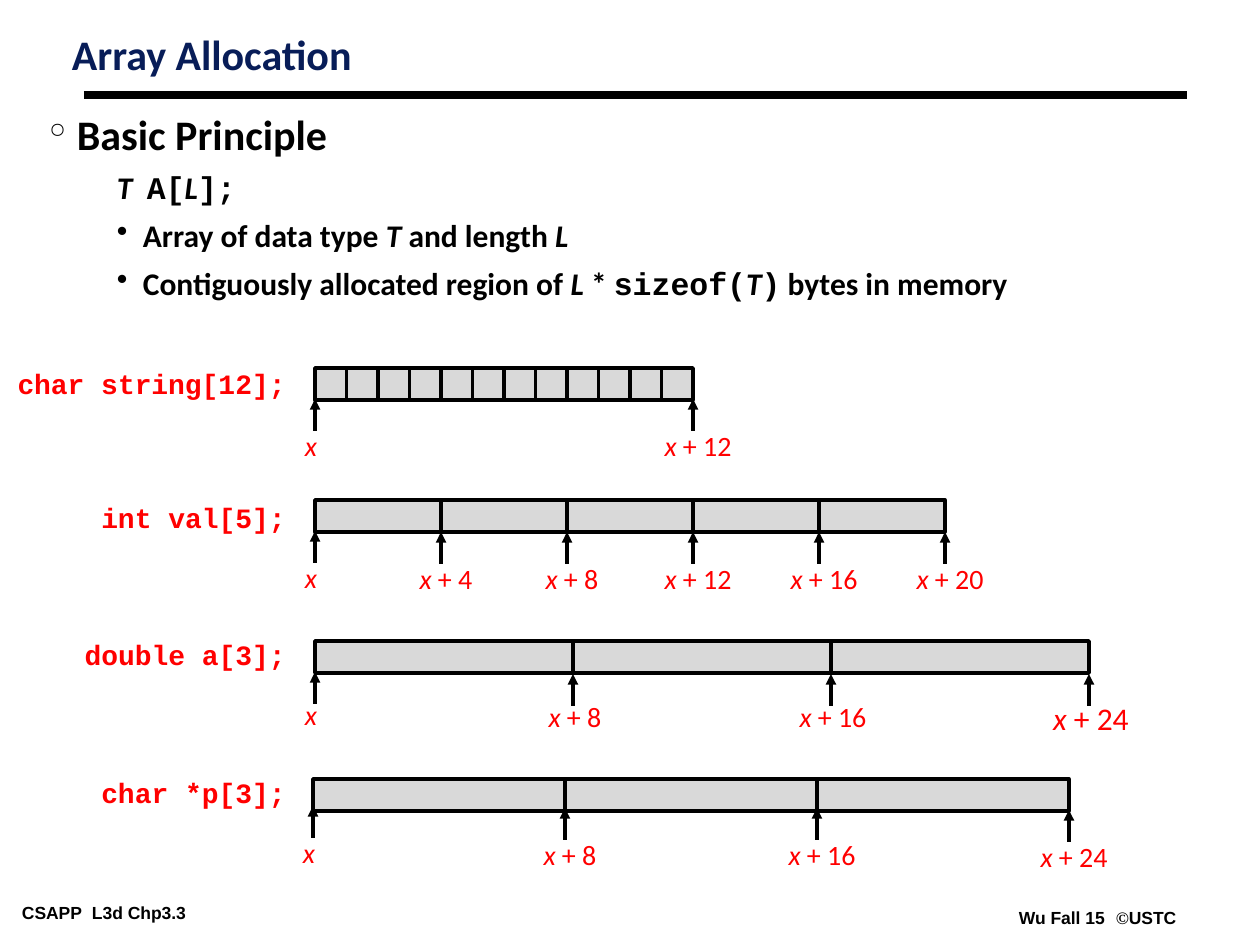
"""Build the array allocation slide with four memory layout diagrams."""
import pptx
import pptx.util
import pptx.dml.color
import pptx.enum.text
import pptx.enum.shapes
import lxml.etree
import pptx.oxml.ns

SCALE = 914400 / 126
HUE = {"ink": "000000", "navy": "081D58", "red": "FF0000", "gray": "D9D9D9"}
RGB = pptx.dml.color.RGBColor.from_string
ALIGN = pptx.enum.text.PP_ALIGN
SHAPE = pptx.enum.shapes.MSO_SHAPE
LINE = pptx.enum.shapes.MSO_CONNECTOR.STRAIGHT
qn = pptx.oxml.ns.qn


def px(*nums):
    return [round(n * SCALE) for n in nums]


def write(par, runs, size, hue, face="Calibri", bold=True):
    par.font.size = pptx.util.Pt(size)
    par.font.bold = bold
    par.font.name = face
    par.font.color.rgb = RGB(HUE[hue])
    for text, font, slant in runs:
        run = par.add_run()
        run.text = text
        if font:
            run.font.name = font
        if slant:
            run.font.italic = True


deck = pptx.Presentation()
deck.slide_width, deck.slide_height = px(1260, 945)
slide = deck.slides.add_slide(deck.slide_layouts[5])
shapes = slide.shapes

title = shapes.title
title.left, title.top, title.width, title.height = px(63, 31, 819, 79)
frame = title.text_frame
frame.auto_size = pptx.enum.text.MSO_AUTO_SIZE.NONE
frame.vertical_anchor = pptx.enum.text.MSO_ANCHOR.TOP
frame.margin_left, frame.margin_top, frame.margin_right, frame.margin_bottom = px(9, 4, 9, 4)
par = frame.paragraphs[0]
par.alignment = ALIGN.LEFT
par.line_spacing = 0.87
write(par, [("Array Allocation", None, False)], 24, "navy")

rule = shapes.add_connector(LINE, *px(84, 95, 1187, 95))
rule.line.color.rgb = RGB(HUE["ink"])
rule.line.width = pptx.util.Pt(4.5)
lxml.etree.SubElement(rule._element.spPr, qn("a:effectLst"))

feet = [
    (13, 898, 256, 70, [("CSAPP\tL3d Chp3.3", None, False)]),
    (1010, 903, 190, 97, [("Wu Fall 15\t", None, False), ("©", "Times New Roman", False),
                          ("USTC", None, False)]),
]
for left, top, width, stop, runs in feet:
    frame = shapes.add_textbox(*px(left, top, width, 28)).text_frame
    frame.word_wrap = True
    frame.margin_left, frame.margin_top, frame.margin_right, frame.margin_bottom = px(9, 4, 9, 4)
    par = frame.paragraphs[0]
    tabs = lxml.etree.SubElement(par._p.get_or_add_pPr(), qn("a:tabLst"))
    lxml.etree.SubElement(tabs, qn("a:tab"), pos=str(px(stop)[0]), algn="l")
    write(par, runs, 10, "ink", "Arial")

CODE = "Courier New"
points = [
    ("°", 28, 28, 0.75, 0, 24, [("Basic Principle", None, False)]),
    (None, 98, 30, 0.85, 9, 18, [("T\t", None, True), ("A[", CODE, False),
                                 ("L", None, True), ("];", CODE, False)]),
    ("•", 94, 26, 0.85, 9, 18, [("Array of data type ", None, False), ("T", None, True),
                                (" and length ", None, False), ("L", None, True)]),
    ("•", 94, 26, 0.85, 9, 18, [("Contiguously allocated region of ", None, False),
                                ("L", None, True), (" * ", None, False),
                                ("sizeof(", CODE, False), ("T", None, True),
                                (")", CODE, False), (" bytes in memory", None, False)]),
]
frame = shapes.add_textbox(*px(40, 116, 1145, 223)).text_frame
frame.word_wrap = True
frame.margin_left, frame.margin_top, frame.margin_right, frame.margin_bottom = px(9, 4, 9, 4)
for spot, (mark, edge, hang, gap, lead, size, runs) in enumerate(points):
    par = frame.add_paragraph() if spot else frame.paragraphs[0]
    prop = par._p.get_or_add_pPr()
    prop.set("marL", str(px(edge)[0]))
    prop.set("indent", str(px(-hang)[0]))
    if mark:
        tint = lxml.etree.SubElement(prop, qn("a:buClr"))
        lxml.etree.SubElement(tint, qn("a:srgbClr"), val=HUE["ink"])
        lxml.etree.SubElement(prop, qn("a:buChar"), char=mark)
    else:
        lxml.etree.SubElement(prop, qn("a:buNone"))
    par.line_spacing = gap
    if lead:
        par.space_before = pptx.util.Pt(lead)
    write(par, runs, size, "ink")

rows = [
    ("char string[12];", 360, 315, 368, 378, 12, 12, [399, 399], 23, 5, 16),
    ("int val[5];", 494, 315, 500, 630, 5, 4, [531] + [532] * 5, 23, 5, 16),
    ("double a[3];", 631, 315, 641, 774, 3, 8, [672, 674, 674, 674], 19, 2, 18),
    ("char *p[3];", 769, 313, 779, 756, 3, 8, [806, 808, 808, 810], 23, 5, 16),
]
for code, high, left, top, span, count, step, tips, drop, shift, last in rows:
    frame = shapes.add_textbox(*px(4, high, 294, 47)).text_frame
    frame.word_wrap = True
    par = frame.paragraphs[0]
    par.alignment = ALIGN.RIGHT
    write(par, [(code, None, False)], 16, "red", CODE)

    group = shapes.add_group_shape().shapes
    wide = span / count
    for spot in range(count):
        cell = group.add_shape(SHAPE.RECTANGLE, *px(left + spot * wide, top, wide, 32))
        cell.shadow.inherit = False
        cell.fill.solid()
        cell.fill.fore_color.rgb = RGB(HUE["gray"])
        cell.line.color.rgb = RGB(HUE["ink"])
        cell.line.width = pptx.util.Pt(2)

    ends = len(tips) - 1
    for spot, tip in enumerate(tips):
        mid = left + span * spot // ends
        arrow = group.add_connector(LINE, *px(mid, tip + 32, mid, tip))
        arrow.line.color.rgb = RGB(HUE["ink"])
        arrow.line.width = pptx.util.Pt(2)
        lxml.etree.SubElement(arrow.line._get_or_add_ln(), qn("a:tailEnd"), type="triangle")
        lxml.etree.SubElement(arrow._element.spPr, qn("a:effectLst"))

        wide = 136 if spot else 54
        near = mid + (shift if spot else -4) - wide // 2
        frame = group.add_textbox(*px(near, tip + drop, wide, 47)).text_frame
        frame.word_wrap = True
        par = frame.paragraphs[0]
        par.alignment = ALIGN.CENTER
        runs = [("x ", None, True), (f"+ {spot * step}", None, False)] if spot else [("x", None, True)]
        write(par, runs, last if spot == ends else 16, "red", bold=False)

deck.save("out.pptx")
